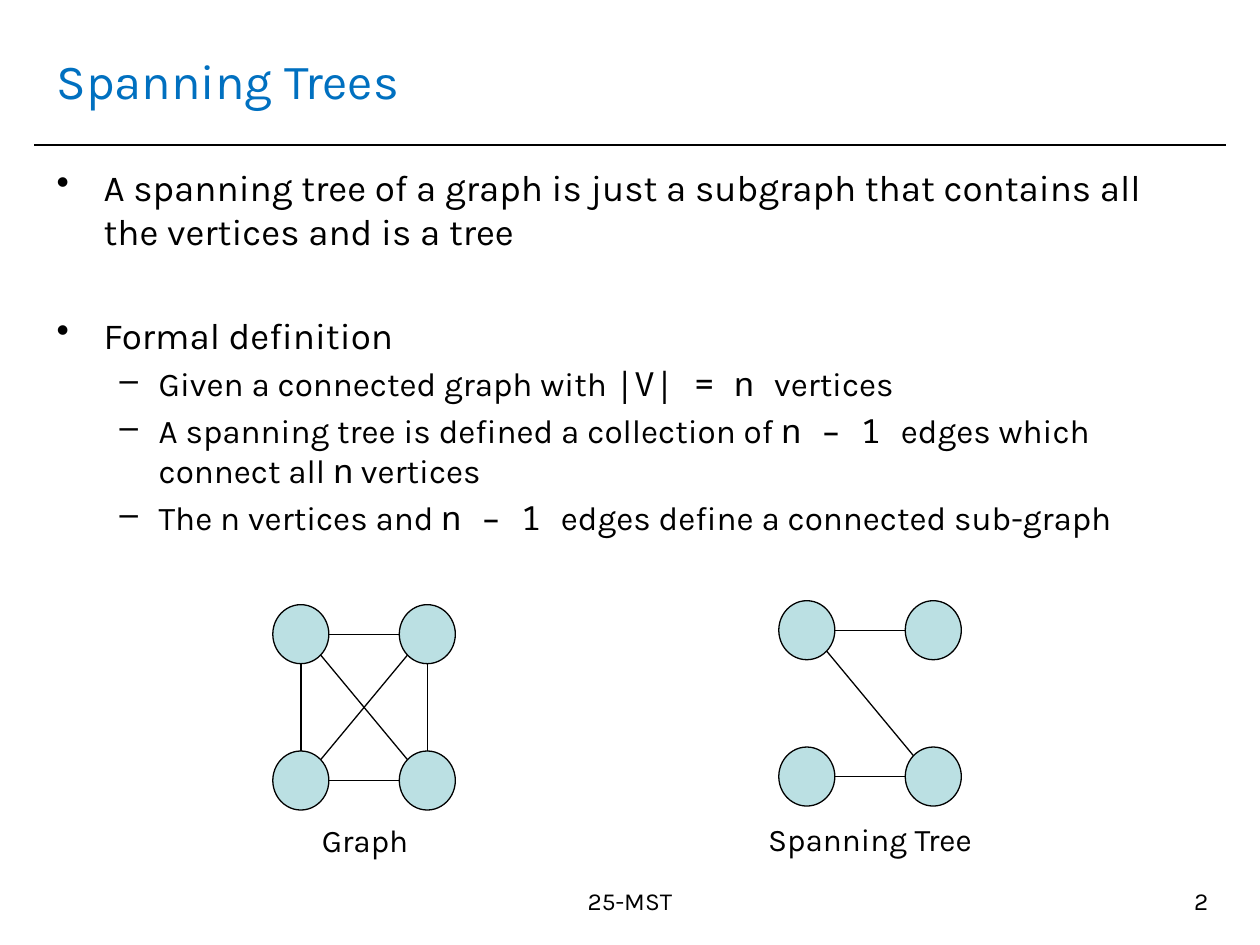
from lxml import etree
from pptx import Presentation
from pptx.dml.color import RGBColor
from pptx.enum.shapes import MSO_CONNECTOR, MSO_SHAPE
from pptx.enum.text import MSO_ANCHOR, MSO_AUTO_SIZE, PP_ALIGN
from pptx.oxml.ns import qn
from pptx.util import Cm, Pt

LEFT, CENTER, RIGHT = PP_ALIGN.LEFT, PP_ALIGN.CENTER, PP_ALIGN.RIGHT
STRAIGHT, OVAL = MSO_CONNECTOR.STRAIGHT, MSO_SHAPE.OVAL
COLORS = {"title": "0070C0", "text": "000000", "line": "000000", "node": "BBE0E3"}
SANS, MONO = "Karla", "Noto Sans Mono"

# Content: (level, space before in points, runs as (text, font))
TITLE = "Spanning Trees"
BULLETS = [
    (0, 0, [("A spanning tree of a graph is just a subgraph that contains all "
             "the vertices and is a tree", SANS)]),
    (0, 34, [("Formal definition", SANS)]),
    (1, 4, [("Given a connected graph with ", SANS), ("|V| = n ", MONO),
            ("vertices", SANS)]),
    (1, 4, [("A spanning tree is defined a collection of ", SANS), ("n – 1 ", MONO),
            ("edges which connect all ", SANS), ("n", MONO), (" vertices", SANS)]),
    (1, 4, [("The n vertices and ", SANS), ("n – 1 ", MONO),
            ("edges define a connected sub-graph", SANS)]),
]
# Per level: character, size, left margin and hanging indent in cm
LEVELS = [("•", 21, 0.95, 0.95), ("–", 19, 2.06, 0.79)]

# Nodes are (column, row); each edge joins two of them
NODES = [(0, 0), (1, 0), (0, 1), (1, 1)]
GRAPHS = [
    {"origin": (5.5, 12.19),
     "edges": [(0, 1), (0, 2), (2, 3), (1, 3), (1, 2), (0, 3)]},
    {"origin": (15.7, 12.11), "edges": [(0, 1), (2, 3), (0, 3)]},
]
NODE_SIZE = (1.13, 1.19)
NODE_STEP = (2.55, 2.95)

# Captions and footer: text, box in cm, size, alignment
LABELS = [
    ("Graph", (5.44, 16.43, 3.84, 1.07), 18, CENTER),
    ("Spanning Tree", (15.14, 16.41, 4.8, 1.02), 18, CENTER),
    ("25-MST", (8.5, 17.73, 8.4, 1.32), 14, CENTER),
    ("2", (18.69, 17.73, 5.92, 1.32), 14, RIGHT),
]


def rgb(name):
    return RGBColor.from_string(COLORS[name])


def add_run(para, text, size, font=SANS, color="text"):
    span = para.add_run()
    span.text = text
    span.font.name = font
    span.font.size = Pt(size)
    span.font.color.rgb = rgb(color)


def add_box(page, left, top, width, height):
    box = page.shapes.add_textbox(Cm(left), Cm(top), Cm(width), Cm(height))
    box.text_frame.word_wrap = True
    return box.text_frame


def add_line(shapes, start, end, width):
    line = shapes.add_connector(STRAIGHT, *map(Cm, (*start, *end)))
    line.line.color.rgb = rgb("line")
    line.line.width = Pt(width)
    etree.SubElement(line._element.spPr, qn("a:effectLst"))


def add_bullet(para, level):
    char, _, margin, hang = LEVELS[level]
    props = para._p.get_or_add_pPr()
    props.set("marL", str(Cm(margin)))
    props.set("indent", str(-Cm(hang)))
    etree.SubElement(props, qn("a:buChar")).set("char", char)


def add_graph(page, origin, edges):
    shapes = page.shapes.add_group_shape().shapes
    corners = [[o + n * s for o, n, s in zip(origin, node, NODE_STEP)]
               for node in NODES]
    for corner in corners:
        oval = shapes.add_shape(OVAL, *map(Cm, (*corner, *NODE_SIZE)))
        oval.shadow.inherit = False
        oval.fill.solid()
        oval.fill.fore_color.rgb = rgb("node")
        oval.line.color.rgb = rgb("line")
        oval.line.width = Pt(0.75)
    # Edges run between the rims, at 45 degrees on the diagonals
    for first, second in edges:
        steps = [b - a for a, b in zip(NODES[first], NODES[second])]
        reach = 0.71 if all(steps) else 1
        offsets = [step * reach * size / 2 for step, size in zip(steps, NODE_SIZE)]
        start = [c + size / 2 + off
                 for c, size, off in zip(corners[first], NODE_SIZE, offsets)]
        end = [c + size / 2 - off
               for c, size, off in zip(corners[second], NODE_SIZE, offsets)]
        add_line(shapes, start, end, 0.75)


def main():
    deck = Presentation()
    deck.slide_width, deck.slide_height = Cm(25.4), Cm(19.05)
    page = deck.slides.add_slide(deck.slide_layouts[5])

    # Title and rule
    title = page.shapes.title
    title.left, title.top, title.width, title.height = map(Cm, (0.89, 0.53, 23.6, 2.16))
    frame = title.text_frame
    frame.auto_size = MSO_AUTO_SIZE.NONE
    frame.vertical_anchor = MSO_ANCHOR.MIDDLE
    frame.paragraphs[0].alignment = LEFT
    add_run(frame.paragraphs[0], TITLE, 28, color="title")
    add_line(page.shapes, (0.69, 2.92), (24.71, 2.92), 1)

    # Bullets
    frame = add_box(page, 0.89, 3.2, 23.6, 14.2)
    for index, (level, before, runs) in enumerate(BULLETS):
        para = frame.add_paragraph() if index else frame.paragraphs[0]
        para.level = level
        para.space_before = Pt(before)
        add_bullet(para, level)
        for text, font in runs:
            add_run(para, text, LEVELS[level][1], font)

    # Graphs
    for graph in GRAPHS:
        add_graph(page, **graph)

    # Captions and footer
    for text, place, size, alignment in LABELS:
        para = add_box(page, *place).paragraphs[0]
        para.alignment = alignment
        add_run(para, text, size)

    deck.save("out.pptx")


if __name__ == "__main__":
    main()
